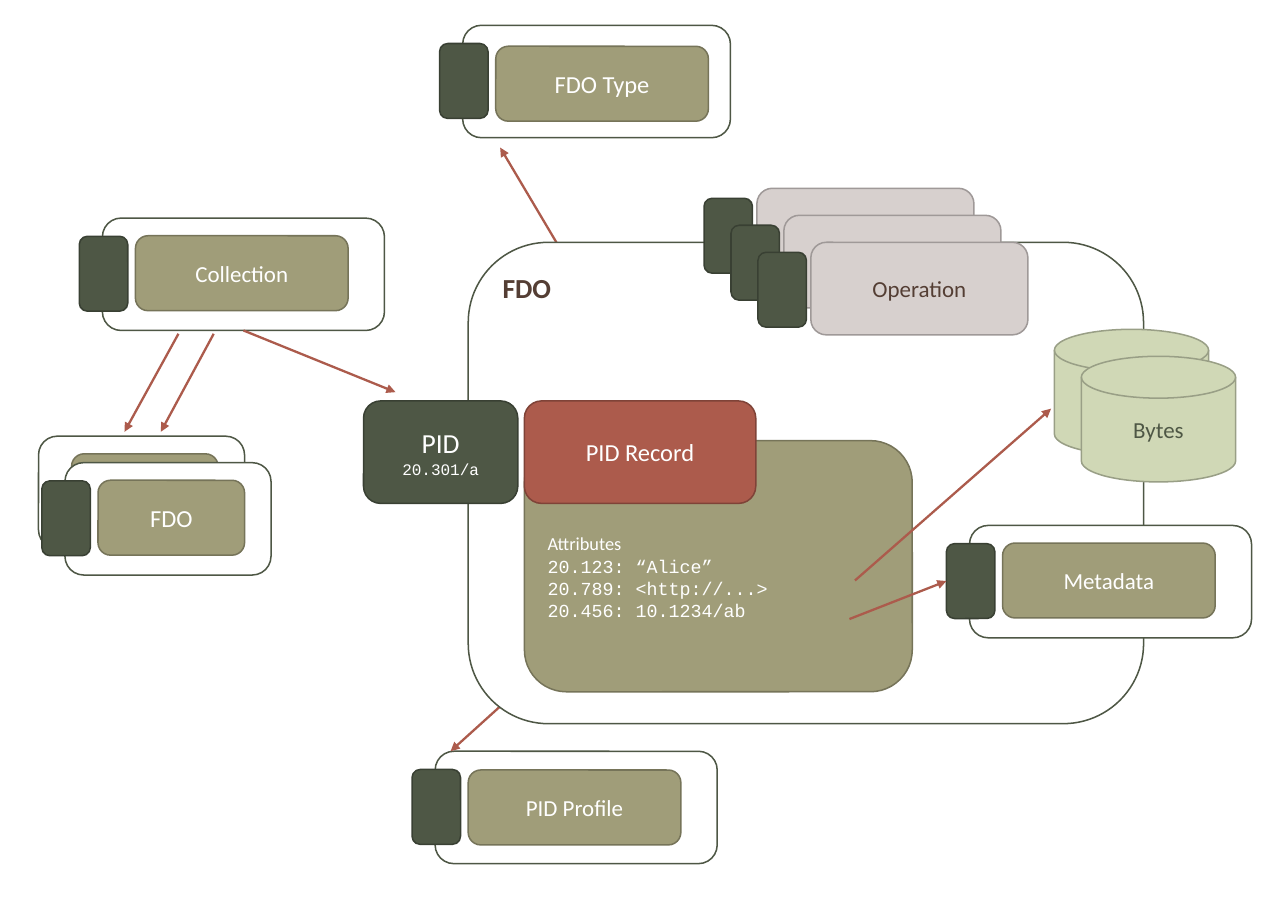
from lxml import etree
from pptx import Presentation
from pptx.dml.color import RGBColor
from pptx.enum.shapes import MSO_CONNECTOR, MSO_SHAPE
from pptx.enum.text import MSO_ANCHOR, PP_ALIGN
from pptx.oxml.ns import qn
from pptx.util import Inches, Pt

ROUNDED = MSO_SHAPE.ROUNDED_RECTANGLE
DISK = MSO_SHAPE.FLOWCHART_MAGNETIC_DISK
STRAIGHT = MSO_CONNECTOR.STRAIGHT
TOP, MIDDLE = MSO_ANCHOR.TOP, MSO_ANCHOR.MIDDLE
LEFT, CENTER = PP_ALIGN.LEFT, PP_ALIGN.CENTER
LEFT_SIDE, BOTTOM_SIDE = 1, 2

# Palette: (fill, line)
FRAME = ("FFFFFF", "4E5745")
LABEL = ("A09D79", "767459")
KEY = ("4E5745", "394033")
OPERATION = ("D7D0CE", "9F9998")
RECORD = ("AC5B4C", "7F4338")
BYTES = ("D0D8B6", "999F86")
WHITE, BROWN, DARK_GREEN, ARROW = "FFFFFF", "543E34", "4E5745", "AC5B4C"

# Content: cards as (text, size, left, top, width, label width, label drop)
PROFILE_CARD = ("PID Profile", 15, 3.95, 6.82, 2.56, 1.93, 0.17)
COLLECTION_CARD = ("Collection", 15, 0.93, 1.98, 2.56, 1.93, 0.16)
TYPE_CARD = ("FDO Type", 16, 4.2, 0.23, 2.43, 1.93, 0.19)
METADATA_CARD = ("Metadata", 15, 8.8, 4.77, 2.56, 1.93, 0.16)
MEMBER_CARDS = [
    ("", 16, 0.35, 3.96, 1.87, 1.33, 0.16),
    ("FDO", 16, 0.59, 4.2, 1.87, 1.33, 0.16),
]
OPERATIONS = ["", "", "Operation"]
BYTE_DISKS = ["", "Bytes"]
PID_LINES = [("PID", 18, "Calibri"), ("20.301/a", 10.5, "Courier New")]
ATTRIBUTE_LINES = [
    ("Attributes", 12, "Calibri"),
    ("20.123: “Alice”", 12, "Courier New"),
    ("20.789: <http://...>", 12, "Courier New"),
    ("20.456: 10.1234/ab", 12, "Courier New"),
]

# Arrows: (start, end)
FRAME_ARROWS = [((4.83, 6.15), (4.09, 6.82)), ((5.05, 2.2), (4.54, 1.34))]
MEMBER_ARROWS = [((1.62, 3.03), (1.13, 3.92)), ((1.94, 3.03), (1.46, 3.92))]
COLLECTION_ARROW = ((2.21, 3.0), (3.59, 3.56))
METADATA_ARROW = ((7.71, 5.62), (8.6, 5.27))
BYTES_ARROW = ((7.76, 5.27), (9.54, 3.71))

STACK_STEP = 0.245
KEY_SIZE = (0.44, 0.68)

presentation = Presentation()
presentation.slide_width = Inches(11.69)
presentation.slide_height = Inches(8.27)
slide = presentation.slides.add_slide(presentation.slide_layouts[6])


def color(value):
    return RGBColor.from_string(value)


def write(shape, lines, font_color=WHITE, align=CENTER, anchor=MIDDLE,
          bold=False, top_inset=0.05):
    """Fill a shape with lines given as (text, size, font)."""
    frame = shape.text_frame
    frame.word_wrap = True
    frame.vertical_anchor = anchor
    frame.margin_top = Inches(top_inset)
    for index, (text, size, font) in enumerate(lines):
        paragraph = frame.add_paragraph() if index else frame.paragraphs[0]
        paragraph.alignment = align
        run = paragraph.add_run()
        run.text = text
        run.font.name, run.font.size, run.font.bold = font, Pt(size), bold
        run.font.color.rgb = color(font_color)


def add_box(left, top, width, height, colors, kind=ROUNDED):
    shape = slide.shapes.add_shape(
        kind, Inches(left), Inches(top), Inches(width), Inches(height))
    shape.shadow.inherit = False
    shape.fill.solid()
    shape.fill.fore_color.rgb = color(colors[0])
    shape.line.color.rgb = color(colors[1])
    shape.line.width = Pt(1)
    return shape


def add_card(text, size, left, top, width, label_width, label_drop, has_key=True):
    """Draw a frame with its label and key; return the frame and the key."""
    frame = add_box(left, top, width, 1.02, FRAME)
    label = add_box(left + 0.3, top + label_drop, label_width, 0.68, LABEL)
    if text:
        write(label, [(text, size, "Calibri")])
    key = add_box(left - 0.21, top + 0.165, *KEY_SIZE, KEY) if has_key else None
    return frame, key


def add_arrow(start, end):
    arrow = slide.shapes.add_connector(
        STRAIGHT, *(Inches(value) for value in (*start, *end)))
    arrow.line.color.rgb = color(ARROW)
    arrow.line.width = Pt(1.5)
    etree.SubElement(arrow.line._get_or_add_ln(), qn("a:tailEnd"), type="triangle")
    etree.SubElement(arrow._element.spPr, qn("a:effectLst"))
    return arrow


# Cards around the main object, and arrows that start behind its frame
add_card(*PROFILE_CARD)
add_card(*TYPE_CARD)
collection_frame, _ = add_card(*COLLECTION_CARD)
for start, end in FRAME_ARROWS:
    add_arrow(start, end)

# Main object with its PID
main_frame = add_box(4.25, 2.2, 6.13, 4.37, FRAME)
write(main_frame, [("FDO", 18, "Calibri")], font_color=BROWN, align=LEFT,
      anchor=TOP, bold=True)
write(add_box(3.3, 3.64, 1.4, 0.93, KEY), PID_LINES)
_, metadata_key = add_card(*METADATA_CARD)

# Stack of operations
for index, text in enumerate(OPERATIONS):
    shift = index * STACK_STEP
    operation = add_box(6.87 + shift, 1.71 + shift, 1.97, 0.84, OPERATION)
    if text:
        write(operation, [(text, 15, "Calibri")], font_color=BROWN)
    add_box(6.39 + shift, 1.8 + shift, *KEY_SIZE, KEY)

# PID record with its attributes
attributes = add_box(4.76, 4, 3.52, 2.28, LABEL)
write(attributes, ATTRIBUTE_LINES, align=LEFT, top_inset=0.24)
write(add_box(4.76, 3.64, 2.1, 0.93, RECORD), [("PID Record", 16, "Calibri")])
add_arrow(*METADATA_ARROW).end_connect(metadata_key, LEFT_SIDE)
add_arrow(*BYTES_ARROW)

# Stack of byte stores
for index, text in enumerate(BYTE_DISKS):
    shift = index * STACK_STEP
    disk = add_box(9.57 + shift, 2.99 + shift, 1.4, 1.14, BYTES, kind=DISK)
    if text:
        write(disk, [(text, 15, "Calibri")], font_color=DARK_GREEN)

# Collection members
add_arrow(*COLLECTION_ARROW).begin_connect(collection_frame, BOTTOM_SIDE)
for index, card in enumerate(MEMBER_CARDS):
    add_card(*card, has_key=index == len(MEMBER_CARDS) - 1)
for start, end in MEMBER_ARROWS:
    add_arrow(start, end)

presentation.save("out.pptx")
